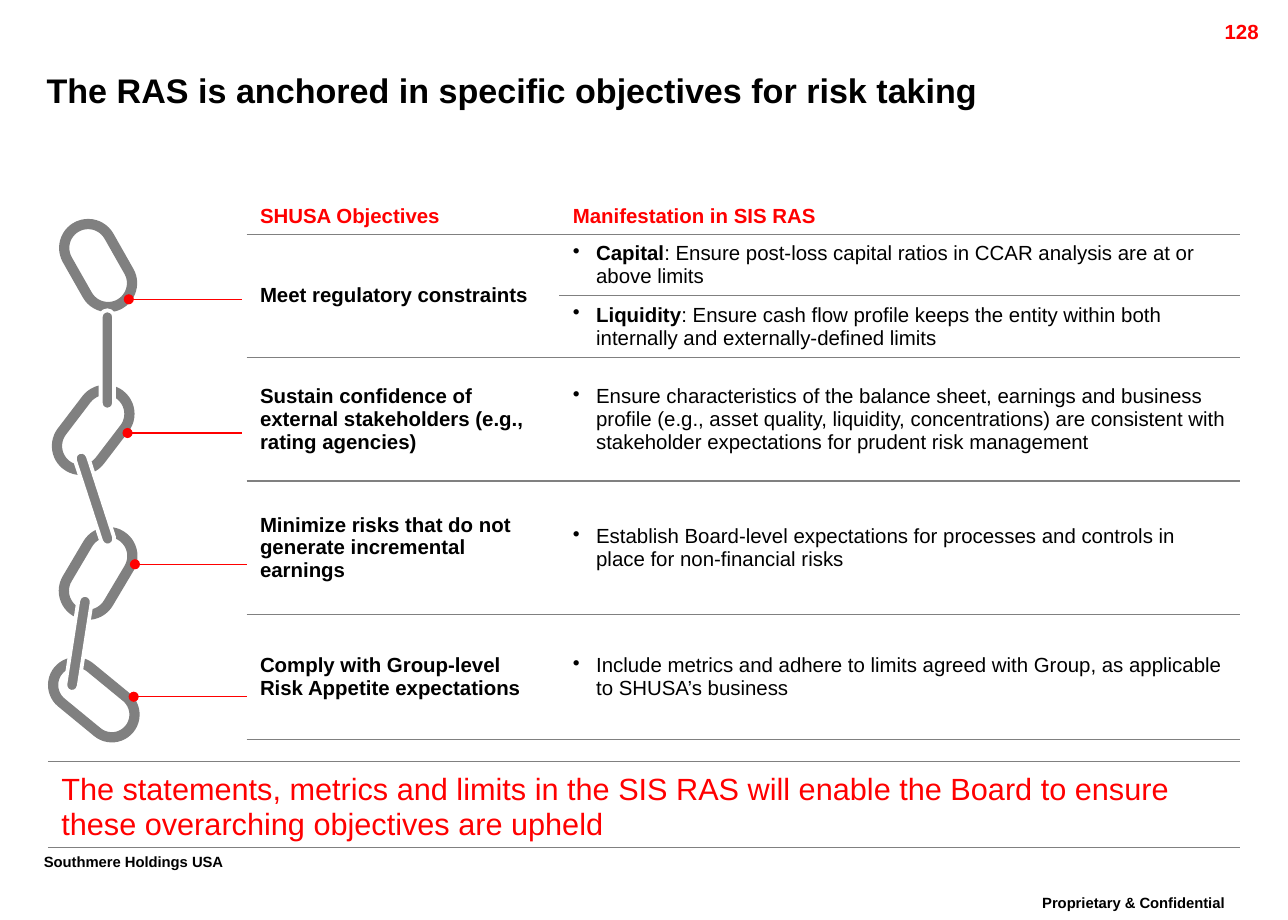
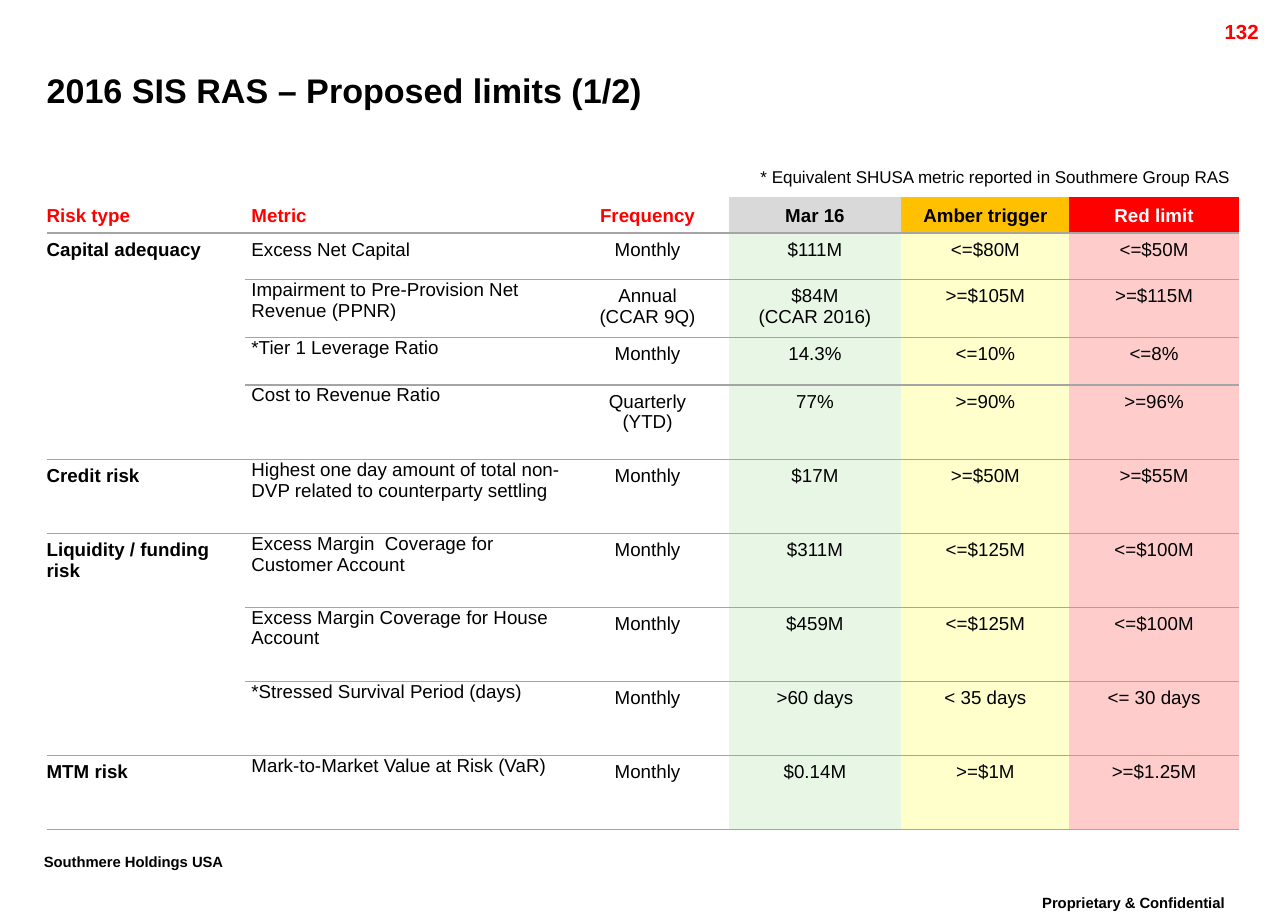
from lxml import etree
from pptx import Presentation, util as u
from pptx.dml.color import RGBColor
from pptx.enum import shapes, text
from pptx.oxml.ns import qn

PX = 9144  # 100 px to the inch
RED, BLACK, WHITE, GRAY, RULE = "FF0000", "000000", "FFFFFF", "808080", "A5A5A5"
LEFT, MID, RIGHT = text.PP_ALIGN.LEFT, text.PP_ALIGN.CENTER, text.PP_ALIGN.RIGHT
TOP, CORE, BASE = (text.MSO_ANCHOR.TOP, text.MSO_ANCHOR.MIDDLE,
                   text.MSO_ANCHOR.BOTTOM)
NO_GRID = "{2D5ABB26-0587-4C30-8999-92F81FD0307C}"


def px(*nums):
    return [u.Emu(round(n * PX)) for n in nums]


def rgb(code):
    return RGBColor.from_string(code)


def sub(node, tag, **attrs):
    return etree.SubElement(node, qn(tag), attrs)


class Deck:
    font = "Arial"

    def __init__(self, wide, high):
        self.prs = Presentation()
        self.prs.slide_width, self.prs.slide_height = px(wide, high)

    def page(self, title, num):
        """Start a slide with the shared title, number and footers."""
        self.slide = self.prs.slides.add_slide(self.prs.slide_layouts[6])
        self.text(815, 725, 218, 25, "Proprietary & Confidential", 15,
                  bold=True, align=MID, lead=0.86, raised=True)
        self.text(26, 691, 191, 32, "Southmere Holdings USA", 15,
                  bold=True, lead=0.86, raised=True)
        self.text(936, 11, 100, 24, num, 12, RED, bold=True, align=RIGHT)
        self.text(38, 49, 948, 48, title, 20, bold=True, anchor=CORE,
                  pad=(0, 0, 0, 0))

    def fill(self, frame, words, size, color=BLACK, bold=False, align=LEFT,
             lead=None, bullet=False, raised=False):
        """Write one paragraph a line; words before a bar are bold."""
        for n, line in enumerate(words.split("\n")):
            para = frame.add_paragraph() if n else frame.paragraphs[0]
            start, _, rest = line.rpartition("|")
            if bullet:
                props = para._p.get_or_add_pPr()
                props.set("marL", str(19 * PX))
                props.set("indent", str(-19 * PX))
                sub(props, "a:buChar", char="•")
            para.alignment = align
            if lead:
                para.line_spacing = lead
            look = para.font
            look.name, look.size, look.bold = self.font, u.Pt(size), bold
            look.color.rgb = rgb(color)
            if start:
                run = para.add_run()
                run.text, run.font.bold = start, True
            run = para.add_run()
            run.text = rest
            if raised:
                run._r.get_or_add_rPr().set("baseline", "30000")

    def text(self, x, y, w, h, words, size, color=BLACK, anchor=TOP,
             pad=(10, 5, 10, 5), wrap=True, **look):
        frame = self.slide.shapes.add_textbox(*px(x, y, w, h)).text_frame
        frame.word_wrap = wrap
        frame.vertical_anchor = anchor
        (frame.margin_left, frame.margin_top,
         frame.margin_right, frame.margin_bottom) = px(*pad)
        self.fill(frame, words, size, color, **look)

    def pill(self, x, y, w, h, turn, line, width, fill=None):
        pill = self.slide.shapes.add_shape(
            shapes.MSO_SHAPE.ROUNDED_RECTANGLE, *px(x, y, w, h))
        pill.adjustments[0] = 0.5
        pill.rotation = turn
        pill.shadow.inherit = False
        pill.line.color.rgb, pill.line.width = rgb(line), u.Pt(width)
        if fill:
            pill.fill.solid()
            pill.fill.fore_color.rgb = rgb(fill)
        else:
            pill.fill.background()

    def lead(self, x1, x2, y):
        """Draw a level line that ends in a dot."""
        line = self.slide.shapes.add_connector(
            shapes.MSO_CONNECTOR.STRAIGHT, *px(x1, y, x2, y))
        line.line.color.rgb, line.line.width = rgb(RED), u.Pt(0.75)
        sub(line.line._get_or_add_ln(), "a:tailEnd", type="oval")
        sub(line._element.spPr, "a:effectLst")

    def grid(self, x, y, cols, rows):
        table = self.slide.shapes.add_table(
            len(rows), len(cols), *px(x, y, sum(cols), sum(rows))).table
        table.first_row = table.horz_banding = False
        table._tbl.tblPr.find(qn("a:tableStyleId")).text = NO_GRID
        for parts, sizes, side in ((table.columns, cols, "width"),
                                   (table.rows, rows, "height")):
            for part, size in zip(parts, px(*sizes)):
                setattr(part, side, size)
        return table

    def cell(self, cell, words, size, color=BLACK, anchor=TOP,
             pad=(11, 5, 11, 5), back=None, rule=GRAY, edges="", **look):
        """Fill a cell; edges names its ruled sides, T before B."""
        for side in edges:
            line = sub(cell._tc.get_or_add_tcPr(), "a:ln" + side, w="9525")
            sub(sub(line, "a:solidFill"), "a:srgbClr", val=rule)
        if back:
            cell.fill.solid()
            cell.fill.fore_color.rgb = rgb(back)
        else:
            cell.fill.background()
        cell.vertical_anchor = anchor
        (cell.margin_left, cell.margin_top,
         cell.margin_right, cell.margin_bottom) = px(*pad)
        self.fill(cell.text_frame, words, size, color, **look)


def edges(row, last):
    return ("T" if row else "") + ("B" if row == last else "")


def goals(deck):
    deck.page("The RAS is anchored in specific objectives for risk taking", "128")

    # Chain: open links, then the bars that join them
    for link in ((44, 197, 72, 39, 60.4), (40, 331, 72, 39, 127.4),
                 (44, 448, 72, 39, 120.7), (39, 552, 75, 37, 39.4)):
        deck.pill(*link, GRAY, 6)
    for bar in ((24, 519, 80, 11, 98.8), (37, 401, 80, 11, 72),
                (47, 288, 81, 11, 90)):
        deck.pill(*bar, WHITE, 2.25, GRAY)
    for ends in ((197, 105, 244), (197, 104, 353), (201, 110, 460),
                 (201, 109, 568)):
        deck.lead(*ends)

    # Objectives
    data = [
        ("SHUSA Objectives", "Manifestation in SIS RAS"),
        ("Meet regulatory constraints",
         "Capital|: Ensure post-loss capital ratios in CCAR analysis are at "
         "or above limits"),
        (None,
         "Liquidity|: Ensure cash flow profile keeps the entity within both "
         "internally and externally-defined limits"),
        ("Sustain confidence of external stakeholders (e.g., rating agencies)",
         "Ensure characteristics of the balance sheet, earnings and business "
         "profile (e.g., asset quality, liquidity, concentrations) are "
         "consistent with stakeholder expectations for prudent risk management"),
        ("Minimize risks that do not generate incremental earnings",
         "Establish Board-level expectations for processes and controls in "
         "place for non-financial risks"),
        ("Comply with Group-level Risk Appetite expectations",
         "Include metrics and adhere to limits agreed with Group, as "
         "applicable to SHUSA’s business"),
    ]
    table = deck.grid(201, 161, (255, 555), (30, 50, 50, 101, 109, 102))
    table.cell(1, 0).merge(table.cell(2, 0))
    for r, row in enumerate(data):
        for c, words in enumerate(row):
            if words:
                deck.cell(table.cell(r, c), words, 12,
                          BLACK if r else RED, CORE if r else BASE,
                          edges=edges(r, len(data) - 1),
                          bold=not (r and c), bullet=bool(r and c))

    # Conclusion
    box = deck.grid(39, 621, (972,), (70,))
    deck.cell(box.cell(0, 0),
              "The statements, metrics and limits in the SIS RAS will enable "
              "the Board to ensure these overarching objectives are upheld",
              18, RED, BASE, edges="TB")


def limits(deck):
    deck.page("2016 SIS RAS – Proposed limits (1/2)", "132")
    deck.text(610, 133, 402, 25,
              "* Equivalent SHUSA metric reported in Southmere Group RAS",
              10, align=MID, lead=0.86, wrap=False)

    # Limits: heading colours, then column tints
    heads = ((RED, None), (RED, None), (RED, None),
             (BLACK, "D9D9D9"), (BLACK, "FFC000"), (WHITE, RED))
    tints = (None, None, None, "E8F6E6", "FFFFCC", "FFCCCC")
    data = [
        ("Risk type", "Metric", "Frequency", "Mar 16", "Amber trigger",
         "Red limit"),
        ("Capital adequacy", "Excess Net Capital", "Monthly", "$111M",
         "<=$80M", "<=$50M"),
        (None, "Impairment to Pre-Provision Net Revenue (PPNR)",
         "Annual\n(CCAR 9Q)", "$84M\n(CCAR 2016)", ">=$105M", ">=$115M"),
        (None, "*Tier 1 Leverage Ratio", "Monthly", "14.3%", "<=10%", "<=8%"),
        (None, "Cost to Revenue Ratio", "Quarterly\n(YTD)", "77%", ">=90%",
         ">=96%"),
        ("Credit risk",
         "Highest one day amount of total non-DVP related to counterparty "
         "settling", "Monthly", "$17M", ">=$50M", ">=$55M"),
        ("Liquidity / funding risk",
         "Excess Margin  Coverage for Customer Account", "Monthly", "$311M",
         "<=$125M", "<=$100M"),
        (None, "Excess Margin Coverage for House Account", "Monthly", "$459M",
         "<=$125M", "<=$100M"),
        (None, "*Stressed Survival Period (days)", "Monthly", ">60 days",
         "< 35 days", "<= 30 days"),
        ("MTM risk", "Mark-to-Market Value at Risk (VaR)", "Monthly",
         "$0.14M", ">=$1M", ">=$1.25M"),
    ]
    table = deck.grid(38, 161, (162, 262, 132, 141, 137, 138),
                      (29, 38, 47, 39, 61, 60, 60, 61, 60, 60))
    for first, last in ((1, 4), (6, 8)):
        table.cell(first, 0).merge(table.cell(last, 0))
    for r, row in enumerate(data):
        for c, words in enumerate(row):
            if not words:
                continue
            color, back = (BLACK, tints[c]) if r else heads[c]
            tight = c == 1 and r > 1
            pad = (5, 0, 0, 0) if tight else (5 if c else 0, 5, 5, 5)
            deck.cell(table.cell(r, c), words, 11, color,
                      TOP if r else BASE, pad, back, RULE,
                      edges(r, len(data) - 1), bold=not (r and c),
                      align=MID if c > 1 else LEFT)


def main():
    deck = Deck(1050, 750)
    goals(deck)
    limits(deck)
    deck.prs.save("out.pptx")


if __name__ == "__main__":
    main()
